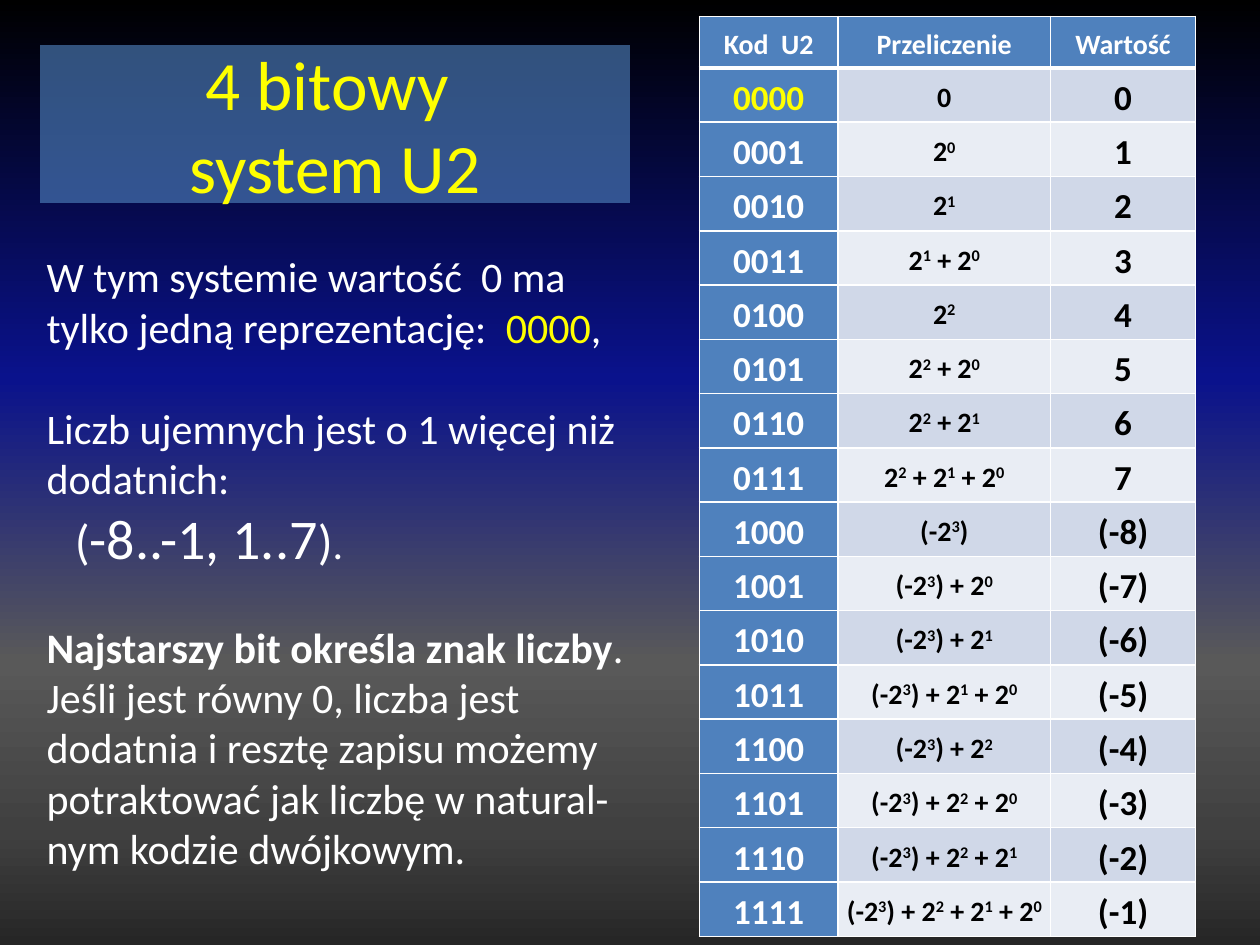
from lxml.etree import SubElement
from pptx import Presentation
from pptx.dml.color import RGBColor
from pptx.enum.text import MSO_ANCHOR as Anchor, MSO_AUTO_SIZE as AutoSize, PP_ALIGN as Align
from pptx.oxml.ns import qn
from pptx.util import Cm, Pt

COLORS = {
    "yellow": "FFFF00", "white": "FFFFFF", "black": "000000",
    "blue": "4F81BD", "dark_band": "D0D8E8", "light_band": "E9EDF4",
}
BACKGROUND_STOPS = [(0, "000000"), (40, "0A128C"), (70, "595959"), (88, "404040"), (100, "262626")]
FONT = "Calibri"
TITLE_LINES = ["4 bitowy ", "system U2"]
HEADERS = ["Kod  U2", "Przeliczenie", "Wartość"]
COLUMN_WIDTHS = [2.79, 4.29, 2.92]
ROW_HEIGHT = 1.04
BITS = 4
# (space before, left indent, runs as text, size, color, bold)
NOTES = [
    (0, 0, [("W tym systemie wartość  0 ma tylko jedną reprezentację:  ", 24, "white", False),
            ("0000", 24, "yellow", False), (",", 24, "white", False)]),
    (29, 0, [("Liczb ujemnych jest o 1 więcej niż dodatnich:", 24, "white", False)]),
    (0, 0.57, [("(", 28, "white", False), ("-8..-1, 1..7", 32, "white", False),
               (")", 28, "white", False), (".", 24, "white", False)]),
    (29, 0, [("Najstarszy bit określa znak liczby", 24, "white", True),
             (". Jeśli jest równy 0, liczba jest dodatnia i resztę zapisu możemy "
              "potraktować jak liczbę w natural- nym kodzie dwójkowym.", 24, "white", False)]),
]


def add_run(paragraph, text, size, color, bold=False, raised=False):
    run = paragraph.add_run()
    run.text = text
    run.font.name, run.font.size, run.font.bold = FONT, Pt(size), bold
    run.font.color.rgb = RGBColor.from_string(COLORS[color])
    if raised:
        run.font._element.set("baseline", "30000")


def paint_background(slide):
    fill = slide.background.fill
    fill.gradient()
    fill.gradient_angle = 270
    stops = slide.background._cSld.find(".//" + qn("a:gsLst"))
    for stop in list(stops):
        stops.remove(stop)
    for position, color in BACKGROUND_STOPS:
        stop = SubElement(stops, qn("a:gs"), pos=str(position * 1000))
        SubElement(stop, qn("a:srgbClr"), val=color)


def add_title(slide):
    title = slide.shapes.title
    title.left, title.top, title.width, title.height = Cm(0.81), Cm(0.91), Cm(11.89), Cm(3.18)
    title.fill.solid()
    title.fill.fore_color.rgb = RGBColor.from_string(COLORS["blue"])
    color = title._element.spPr.find(".//" + qn("a:srgbClr"))
    SubElement(color, qn("a:alpha"), val="63000")
    frame = title.text_frame
    frame.auto_size, frame.vertical_anchor = AutoSize.NONE, Anchor.MIDDLE
    paragraph = frame.paragraphs[0]
    paragraph.alignment = Align.CENTER
    for index, line in enumerate(TITLE_LINES):
        if index:
            paragraph.add_line_break()
        add_run(paragraph, line, 39.6, "yellow")


def conversion_runs(code):
    """Return (text, raised) pairs that spell the code as a sum of powers of two."""
    powers = [power for power in reversed(range(BITS)) if code >> power & 1]
    if not powers:
        return [("0", False)]
    runs, closing = [], ""
    for index, power in enumerate(powers):
        negative = power == BITS - 1
        runs.append((closing + (" + " if index else "") + ("(-2" if negative else "2"), False))
        runs.append((str(power), True))
        closing = ")" if negative else ""
    return runs + [(closing, False)] if closing else runs


def format_cell(cell, runs, size, color, fill, top=1, bottom=1):
    cell.margin_left = cell.margin_right = cell.margin_top = cell.margin_bottom = Cm(0.05)
    cell.vertical_anchor = Anchor.MIDDLE
    properties = cell._tc.get_or_add_tcPr()
    for side, width in (("L", 1), ("R", 1), ("T", top), ("B", bottom)):
        line = SubElement(properties, qn("a:ln" + side), w=str(Pt(width)))
        SubElement(SubElement(line, qn("a:solidFill")), qn("a:srgbClr"), val=COLORS["white"])
    cell.fill.solid()
    cell.fill.fore_color.rgb = RGBColor.from_string(COLORS[fill])
    paragraph = cell.text_frame.paragraphs[0]
    paragraph.alignment = Align.CENTER
    paragraph.line_spacing, paragraph.space_after = 1.15, Pt(4.5)
    for text, raised in runs:
        add_run(paragraph, text, size, color, True, raised)


def add_code_table(slide):
    count = 2 ** BITS
    table = slide.shapes.add_table(count + 1, len(HEADERS), Cm(14.1), Cm(0.33),
                                   Cm(sum(COLUMN_WIDTHS)), Cm(ROW_HEIGHT * (count + 1))).table
    for column, width in zip(table.columns, COLUMN_WIDTHS):
        column.width = Cm(width)
    for row in table.rows:
        row.height = Cm(ROW_HEIGHT)
    for index, header in enumerate(HEADERS):
        format_cell(table.cell(0, index), [(header, False)], 16, "white", "blue", bottom=3)
    for code in range(count):
        value = f"({code - count})" if code >= count // 2 else str(code)
        band = "light_band" if code % 2 else "dark_band"
        cells = [
            ([(f"{code:0{BITS}b}", False)], 20, "white" if code else "yellow", "blue"),
            (conversion_runs(code), 16, "black", band),
            ([(value, False)], 20, "black", band),
        ]
        for index, content in enumerate(cells):
            format_cell(table.cell(code + 1, index), *content, top=1 if code else 3)


def add_notes(slide):
    frame = slide.shapes.add_textbox(Cm(0.69), Cm(4.93), Cm(12.47), Cm(13.77)).text_frame
    frame.word_wrap = True
    for index, (space, indent, runs) in enumerate(NOTES):
        paragraph = frame.add_paragraph() if index else frame.paragraphs[0]
        if space:
            paragraph.space_before = Pt(space)
        if indent:
            paragraph._p.get_or_add_pPr().set("marL", str(Cm(indent)))
        for run in runs:
            add_run(paragraph, *run)


def main():
    presentation = Presentation()
    presentation.slide_width, presentation.slide_height = Cm(25.4), Cm(19.05)
    slide = presentation.slides.add_slide(presentation.slide_layouts[5])
    paint_background(slide)
    add_title(slide)
    add_code_table(slide)
    add_notes(slide)
    presentation.save("out.pptx")


if __name__ == "__main__":
    main()
